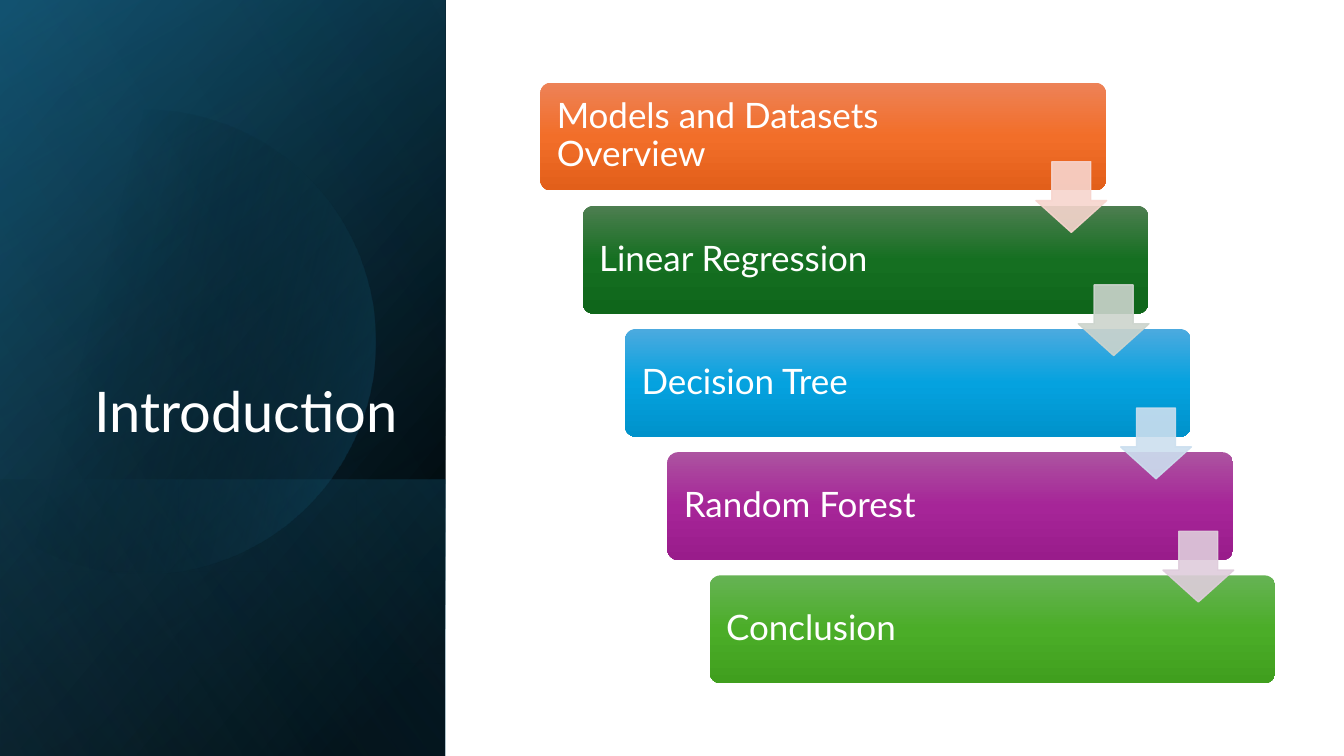
"""Build the introduction slide: a dark title panel beside a staircase of topics."""
import math
from dataclasses import dataclass
from typing import Any

import lxml.etree
import pptx
import pptx.dml.color
import pptx.enum.shapes
import pptx.enum.text
import pptx.oxml.ns
import pptx.util

Pt = pptx.util.Pt
RGBColor = pptx.dml.color.RGBColor
qn = pptx.oxml.ns.qn
SHAPE = pptx.enum.shapes.MSO_SHAPE
ANCHOR = pptx.enum.text.MSO_ANCHOR
ALIGN = pptx.enum.text.PP_ALIGN

WHITE = RGBColor(0xFF, 0xFF, 0xFF)
BLACK = RGBColor(0x00, 0x00, 0x00)
DEEP_TEAL = RGBColor(0x10, 0x48, 0x62)
TEAL = RGBColor(0x15, 0x60, 0x82)
SKY = RGBColor(0x46, 0xB1, 0xE1)
ORANGE = (RGBColor(0xED, 0x82, 0x57), RGBColor(0xF2, 0x6E, 0x29), RGBColor(0xE2, 0x5F, 0x1A))
FOREST = (RGBColor(0x4D, 0x7E, 0x50), RGBColor(0x15, 0x6F, 0x21), RGBColor(0x0F, 0x66, 0x1B))
BLUE = (RGBColor(0x4C, 0xAA, 0xDF), RGBColor(0x05, 0xA2, 0xDF), RGBColor(0x00, 0x92, 0xCB))
PURPLE = (RGBColor(0xAC, 0x53, 0xA0), RGBColor(0xA6, 0x25, 0x98), RGBColor(0x99, 0x1C, 0x8B))
GREEN = (RGBColor(0x66, 0xB3, 0x54), RGBColor(0x4B, 0xAD, 0x28), RGBColor(0x40, 0x9F, 0x1E))
PALE_ORANGE = RGBColor(0xF7, 0xD5, 0xCE)
PALE_FOREST = RGBColor(0xCC, 0xD4, 0xCD)
PALE_BLUE = RGBColor(0xCC, 0xDF, 0xEF)
PALE_PURPLE = RGBColor(0xDF, 0xCD, 0xDC)

FONT = "Lato"
STEP_RIGHT, STEP_DOWN = 30.25, 88


@dataclass(frozen=True)
class Stop:
    position: int
    color: RGBColor
    opacity: int = 100


@dataclass(frozen=True)
class Panel:
    left: float
    top: float
    width: float
    height: float
    angle: int
    stops: tuple[Stop, ...]


@dataclass(frozen=True)
class Topic:
    label: str
    shades: tuple[RGBColor, RGBColor, RGBColor]
    arrow: RGBColor | None = None


FULL_PANEL = (-111, 111, 540, 318)
BACK_PANELS = (
    Panel(*FULL_PANEL, 50, (Stop(8, BLACK), Stop(100, DEEP_TEAL))),
    Panel(*FULL_PANEL, 30, (Stop(0, BLACK, 0), Stop(99, TEAL, 46))),
    Panel(60.5, 282, 197.5, 318, 130, (Stop(2, TEAL, 29), Stop(100, BLACK, 30))),
)
FRONT_PANEL = Panel(*FULL_PANEL, 120, (Stop(0, BLACK, 0), Stop(99, SKY, 11)))
TOPICS = (
    Topic("Models and Datasets Overview", ORANGE, PALE_ORANGE),
    Topic("Linear Regression", FOREST, PALE_FOREST),
    Topic("Decision Tree", BLUE, PALE_BLUE),
    Topic("Random Forest", PURPLE, PALE_PURPLE),
    Topic("Conclusion", GREEN),
)


def set_opacity(color: Any, percent: int) -> None:
    lxml.etree.SubElement(color, qn("a:alpha")).set("val", str(percent * 1000))


def fill_gradient(shape: Any, angle: int, stops: tuple[Stop, ...]) -> None:
    shape.shadow.inherit = False
    shape.line.fill.background()
    shape.fill.background()
    properties = shape.element.spPr
    gradient = lxml.etree.Element(qn("a:gradFill"), rotWithShape="1")
    stop_list = lxml.etree.SubElement(gradient, qn("a:gsLst"))
    for stop in stops:
        entry = lxml.etree.SubElement(stop_list, qn("a:gs"), pos=str(stop.position * 1000))
        color = lxml.etree.SubElement(entry, qn("a:srgbClr"), val=str(stop.color))
        if stop.opacity < 100:
            set_opacity(color, stop.opacity)
    lxml.etree.SubElement(gradient, qn("a:lin"), ang=str(angle * 60000), scaled="0")
    properties.replace(properties.find(qn("a:noFill")), gradient)


def add_panel(page: Any, panel: Panel) -> None:
    shape = page.shapes.add_shape(
        SHAPE.RECTANGLE, Pt(panel.left), Pt(panel.top), Pt(panel.width), Pt(panel.height))
    shape.rotation = 90
    shape.element.spPr.find(qn("a:xfrm")).set("flipH", "1")
    fill_gradient(shape, panel.angle, panel.stops)


def add_disc(page: Any) -> None:
    center_x, center_y, radius = 103, 244, 165.5
    reach = math.acos(-center_x / radius)
    count = 120
    angles = [reach * (2 * index / count - 1) for index in range(count + 1)]
    points = [(Pt(center_x + radius * math.cos(angle)), Pt(center_y + radius * math.sin(angle)))
              for angle in angles]
    builder = page.shapes.build_freeform(*points[0])
    builder.add_line_segments(points[1:], close=True)
    fill_gradient(builder.convert_to_shape(), 14, (Stop(29, BLACK, 0), Stop(100, TEAL, 43)))


def write_text(frame: Any, text: str, size: int, align: Any, anchor: Any) -> None:
    frame.word_wrap = True
    frame.auto_size = pptx.enum.text.MSO_AUTO_SIZE.NONE
    frame.vertical_anchor = anchor
    para = frame.paragraphs[0]
    para.alignment = align
    para.line_spacing = 0.9
    span = para.add_run()
    span.text = text
    span.font.name = FONT
    span.font.size = Pt(size)
    span.font.color.rgb = WHITE


def place_title(page: Any, text: str) -> None:
    title = page.shapes.title
    title.left, title.top, title.width, title.height = Pt(46), Pt(132.5), Pt(245.5), Pt(188.5)
    title.element.getparent().append(title.element)
    write_text(title.text_frame, text, 40, ALIGN.RIGHT, ANCHOR.BOTTOM)


def add_topic(page: Any, topic: Topic, index: int) -> None:
    box = page.shapes.add_shape(
        SHAPE.ROUNDED_RECTANGLE, Pt(386 + index * STEP_RIGHT), Pt(59 + index * STEP_DOWN),
        Pt(404), Pt(77))
    box.adjustments[0] = 0.1
    fill_gradient(box, 90, tuple(map(Stop, (0, 50, 100), topic.shades)))
    frame = box.text_frame
    frame.margin_left, frame.margin_right = Pt(9.5), Pt(96)
    frame.margin_top = frame.margin_bottom = Pt(7)
    write_text(frame, topic.label, 25, ALIGN.LEFT, ANCHOR.MIDDLE)


def add_arrow(page: Any, color: RGBColor, index: int) -> None:
    arrow = page.shapes.add_shape(
        SHAPE.DOWN_ARROW, Pt(740 + index * STEP_RIGHT), Pt(115.5 + index * STEP_DOWN),
        Pt(50.5), Pt(50.5))
    arrow.adjustments[0], arrow.adjustments[1] = 0.55, 0.45
    arrow.shadow.inherit = False
    arrow.line.width = Pt(1)
    for fill in (arrow.fill, arrow.line.fill):
        fill.solid()
        fill.fore_color.rgb = color
    for shade in arrow.element.spPr.iter(qn("a:srgbClr")):
        set_opacity(shade, 90)


def main() -> None:
    deck = pptx.Presentation()
    deck.slide_width, deck.slide_height = Pt(960), Pt(540)
    page = deck.slides.add_slide(deck.slide_layouts.get_by_name("Title Only"))
    for panel in BACK_PANELS:
        add_panel(page, panel)
    add_disc(page)
    add_panel(page, FRONT_PANEL)
    place_title(page, "Introduction")
    for index, topic in enumerate(TOPICS):
        add_topic(page, topic, index)
    for index, topic in enumerate(TOPICS):
        if topic.arrow is not None:
            add_arrow(page, topic.arrow, index)
    deck.save("out.pptx")


if __name__ == "__main__":
    main()
